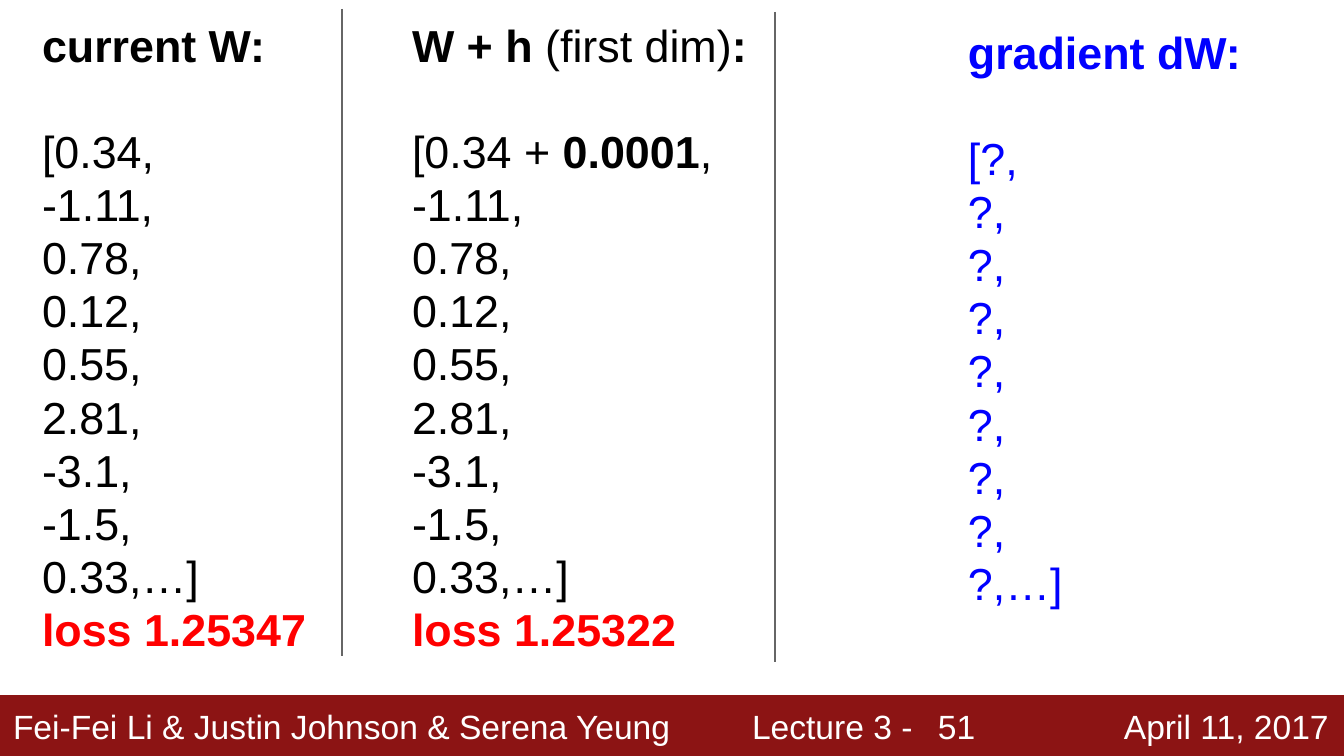
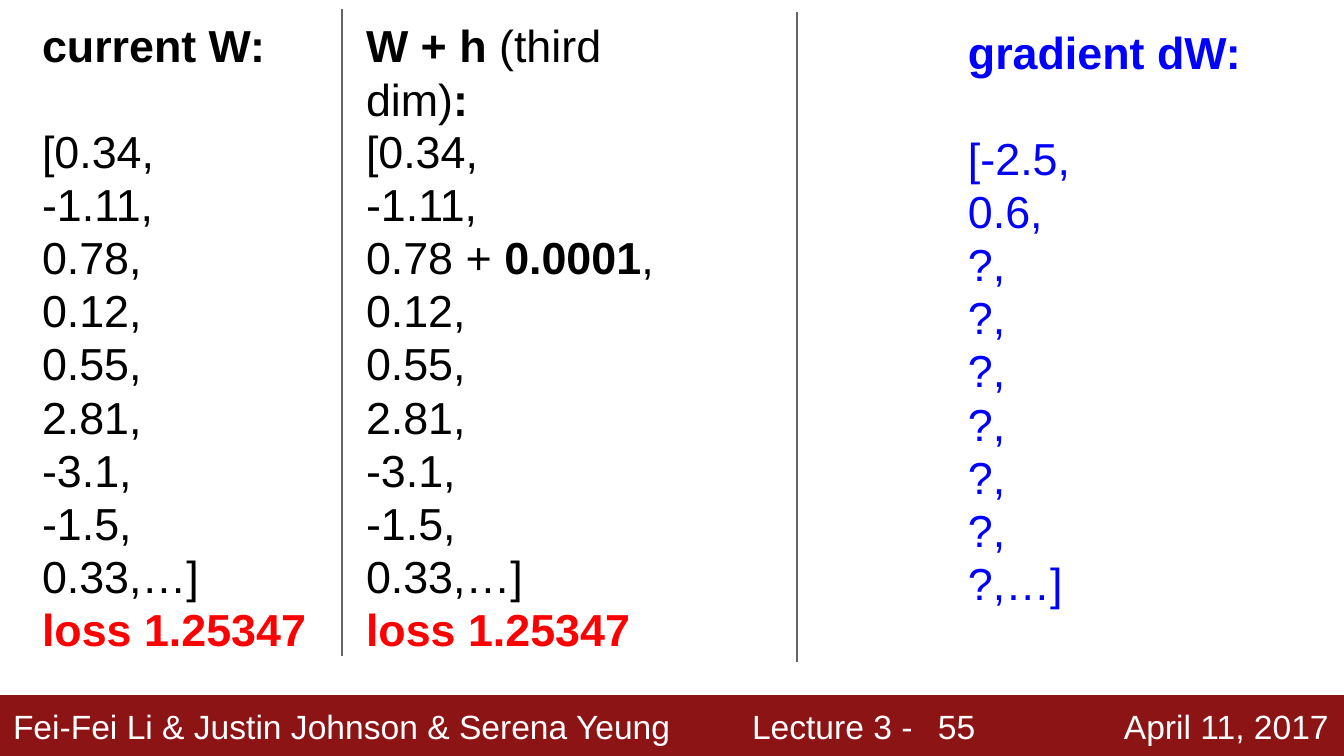
"""Build two slides on estimating a gradient one dimension at a time."""
import typing

import lxml.etree
import pptx
import pptx.dml.color
import pptx.enum.shapes
import pptx.enum.text
import pptx.oxml.ns
import pptx.util

SCALE = 914400 / 134.4
FONT = "Arial"
BLACK, WHITE, RED, BLUE = "000000", "FFFFFF", "FF0000", "0000FF"
BAND, RULE = "8C1414", "666666"

VALUES = ["[0.34,", "-1.11,", "0.78,", "0.12,", "0.55,", "2.81,", "-3.1,", "-1.5,", "0.33,…]"]
STEP = " + *0.0001*,"


class Box(typing.NamedTuple):
    left: int
    top: int
    width: int
    height: int


class Style(typing.NamedTuple):
    size: int
    color: str
    pitch: float | None = None
    inset: tuple[int, int] = (2, 3)


class Label(typing.NamedTuple):
    text: str
    box: Box
    inset: int = 2


class Page(typing.NamedTuple):
    number: int
    dim: str
    index: int
    loss: str
    left: int
    rule: int
    known: list[str]


HEAD = Style(24, BLACK)
LIST = Style(24, BLACK, 28.5)
BLUE_HEAD = HEAD._replace(color=BLUE)
BLUE_LIST = LIST._replace(color=BLUE)

FOOTER = [
    Label("Fei-Fei Li & Justin Johnson & Serena Yeung", Box(11, 707, 664, 42)),
    Label("Lecture 3 -", Box(750, 707, 164, 42)),
    Label("April 11, 2017", Box(1122, 707, 211, 42)),
]
PAGES = [
    Page(51, "first", 0, "1.25322", 410, 775, []),
    Page(55, "third", 2, "1.25347", 364, 797, ["-2.5", "0.6"]),
]


def px(count: float) -> pptx.util.Emu:
    return pptx.util.Emu(round(count * SCALE))


def rgb(code: str) -> pptx.dml.color.RGBColor:
    return pptx.dml.color.RGBColor.from_string(code)


def write(shape: typing.Any, lines: list[str], style: Style) -> None:
    frame = shape.text_frame
    frame.word_wrap = True
    frame.auto_size = pptx.enum.text.MSO_AUTO_SIZE.NONE
    frame.vertical_anchor = pptx.enum.text.MSO_ANCHOR.TOP
    frame.margin_left, frame.margin_top = map(px, style.inset)
    frame.margin_right = frame.margin_bottom = 0
    for order, line in enumerate(lines):
        para = frame.add_paragraph() if order else frame.paragraphs[0]
        para.alignment = pptx.enum.text.PP_ALIGN.LEFT
        para.space_before = para.space_after = pptx.util.Pt(0)
        para.line_spacing = pptx.util.Pt(style.pitch) if style.pitch else 1.0
        if shape.is_placeholder:
            props = para._p.get_or_add_pPr()
            props.set("marL", "0")
            props.set("indent", "0")
            lxml.etree.SubElement(props, pptx.oxml.ns.qn("a:buNone"))
        parts = [(part, spot % 2 == 1) for spot, part in enumerate(line.split("*")) if part]
        para.font.name = FONT
        para.font.size = pptx.util.Pt(style.size)
        para.font.bold = all(bold for _, bold in parts)
        para.font.color.rgb = rgb(RED if line.startswith("*loss") else style.color)
        for part, bold in parts:
            run = para.add_run()
            run.text = part
            if len(parts) > 1:
                run.font.bold = bold


def place(shape: typing.Any, box: Box) -> typing.Any:
    shape.left, shape.top, shape.width, shape.height = map(px, box)
    return shape


def add_text(slide: typing.Any, box: Box, lines: list[str], style: Style) -> None:
    write(slide.shapes.add_textbox(*map(px, box)), lines, style)


def add_rule(slide: typing.Any, x: int, top: int, end: int) -> None:
    kind = pptx.enum.shapes.MSO_CONNECTOR.STRAIGHT
    rule = slide.shapes.add_connector(kind, *map(px, (x, top, x, end)))
    rule.line.color.rgb = rgb(RULE)
    rule.line.width = pptx.util.Pt(0.75)
    lxml.etree.SubElement(rule._element.spPr, pptx.oxml.ns.qn("a:effectLst"))


def add_footer(slide: typing.Any, number: int) -> None:
    kind = pptx.enum.shapes.MSO_SHAPE.RECTANGLE
    band = slide.shapes.add_shape(kind, *map(px, (0, 698, 1344, 58)))
    band.shadow.inherit = False
    band.fill.solid()
    band.fill.fore_color.rgb = band.line.color.rgb = rgb(BAND)
    band.line.width = pptx.util.Pt(3)
    for label in [*FOOTER, Label(str(number), Box(926, 707, 54, 42), 12)]:
        add_text(slide, label.box, [label.text], Style(18, WHITE, 20.9, (label.inset, 0)))


def add_page(deck: typing.Any, page: Page) -> None:
    slide = deck.slides.add_slide(deck.slide_layouts[1])
    add_footer(slide, page.number)

    add_text(slide, Box(40, 15, 230, 58), ["*current W:*"], HEAD)
    add_text(slide, Box(40, 121, 270, 536), [*VALUES, "*loss 1.25347*"], LIST)
    add_rule(slide, 342, 9, 656)

    moved = list(VALUES)
    moved[page.index] = moved[page.index].rstrip(",") + STEP
    title = place(slide.shapes.title, Box(page.left, 15, 350, 58))
    write(title, [f"*W + h *({page.dim} dim)*:*"], HEAD)
    body = place(slide.placeholders[1], Box(page.left, 121, 304, 536))
    write(body, [*moved, f"*loss {page.loss}*"], LIST)
    add_rule(slide, page.rule, 12, 662)

    grads = page.known + ["?"] * (len(VALUES) - len(page.known))
    add_text(slide, Box(966, 22, 280, 58), ["*gradient dW:*"], BLUE_HEAD)
    lines = ("[" + ",\n".join(grads) + ",…]").split("\n")
    add_text(slide, Box(966, 128, 108, 482), lines, BLUE_LIST)


def main() -> None:
    deck = pptx.Presentation()
    deck.slide_width, deck.slide_height = px(1344), px(756)
    for page in PAGES:
        add_page(deck, page)
    deck.save("out.pptx")


if __name__ == "__main__":
    main()
